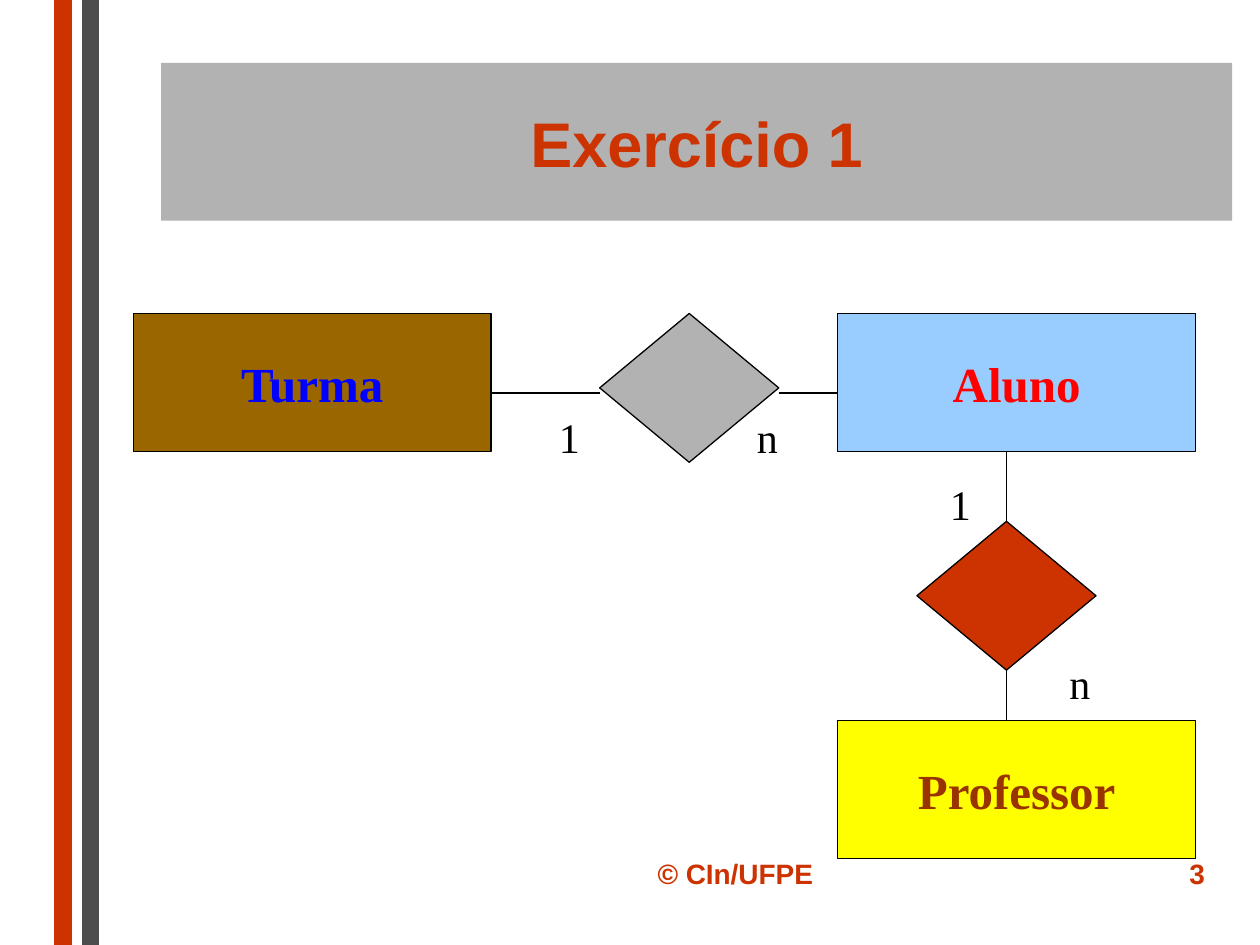
from lxml import etree
from pptx import Presentation
from pptx.dml.color import RGBColor
from pptx.enum.shapes import MSO_CONNECTOR, MSO_SHAPE
from pptx.enum.text import MSO_ANCHOR, PP_ALIGN
from pptx.oxml.ns import qn
from pptx.util import Cm, Pt

RECTANGLE = MSO_SHAPE.RECTANGLE
DECISION = MSO_SHAPE.FLOWCHART_DECISION
STRAIGHT = MSO_CONNECTOR.STRAIGHT
MIDDLE, TOP = MSO_ANCHOR.MIDDLE, MSO_ANCHOR.TOP
CENTER, RIGHT = PP_ALIGN.CENTER, PP_ALIGN.RIGHT

ORANGE = RGBColor(0xCC, 0x33, 0x00)
DARK_GRAY = RGBColor(0x4D, 0x4D, 0x4D)
GRAY = RGBColor(0xB2, 0xB2, 0xB2)
BLACK = RGBColor(0x00, 0x00, 0x00)
BROWN = RGBColor(0x99, 0x66, 0x00)
BLUE = RGBColor(0x00, 0x00, 0xFF)
LIGHT_BLUE = RGBColor(0x99, 0xCC, 0xFF)
RED = RGBColor(0xFF, 0x00, 0x00)
YELLOW = RGBColor(0xFF, 0xFF, 0x00)
RUST = RGBColor(0x99, 0x33, 0x00)

SANS = "Arial"
SERIF = "Times New Roman"
SLIDE_WIDTH, SLIDE_HEIGHT = 25.4, 19.05
ENTITY_WIDTH, ENTITY_HEIGHT = 7.21, 2.79
DIAMOND_WIDTH, DIAMOND_HEIGHT = 3.61, 3


def write_text(shape, text, font, size, color, bold=True, align=CENTER, anchor=MIDDLE, wrap=True):
    frame = shape.text_frame
    frame.word_wrap = wrap
    frame.vertical_anchor = anchor
    paragraph = frame.paragraphs[0]
    paragraph.alignment = align
    run = paragraph.add_run()
    run.text = text
    run.font.name = font
    run.font.size = Pt(size)
    run.font.bold = bold
    run.font.color.rgb = color
    return paragraph


def add_block(slide, kind, left, top, width, height, fill, outline=BLACK):
    shape = slide.shapes.add_shape(kind, Cm(left), Cm(top), Cm(width), Cm(height))
    shape.shadow.inherit = False
    shape.fill.solid()
    shape.fill.fore_color.rgb = fill
    if outline is None:
        shape.line.fill.background()
    else:
        shape.line.color.rgb = outline
        shape.line.width = Pt(0.75)
    return shape


def add_line(slide, start_x, start_y, end_x, end_y, color=BLACK, width=0.75):
    line = slide.shapes.add_connector(STRAIGHT, Cm(start_x), Cm(start_y), Cm(end_x), Cm(end_y))
    line.line.color.rgb = color
    line.line.width = Pt(width)
    etree.SubElement(line._element.spPr, qn("a:effectLst"))


def add_side_stripes(slide, left, top, height):
    for offset, color in ((0, ORANGE), (0.56, DARK_GRAY)):
        add_line(slide, left + offset, top, left + offset, top + height, color, 9.75)


def add_title(slide, left, top, width, height):
    banner = add_block(slide, RECTANGLE, left, top, width, height, GRAY, None)
    write_text(banner, "Exercício 1", SANS, 36, ORANGE)


def add_diagram(slide, left, top):
    right_column, bottom_row = 14.2, 8.2
    across_x, down_y = 9.4, 4.19
    link_y = 1.6
    link_x = right_column + 3.4

    for text, x, y, fill, color in (
        ("Turma", 0, 0, BROWN, BLUE),
        ("Aluno", right_column, 0, LIGHT_BLUE, RED),
        ("Professor", right_column, bottom_row, YELLOW, RUST),
    ):
        entity = add_block(slide, RECTANGLE, left + x, top + y, ENTITY_WIDTH, ENTITY_HEIGHT, fill)
        write_text(entity, text, SERIF, 28, color, wrap=False)

    for x, y, fill in (
        (across_x, 0, GRAY),
        (link_x - DIAMOND_WIDTH / 2, down_y, ORANGE),
    ):
        add_block(slide, DECISION, left + x, top + y, DIAMOND_WIDTH, DIAMOND_HEIGHT, fill)

    for start_x, end_x in ((ENTITY_WIDTH, across_x), (across_x + DIAMOND_WIDTH, right_column)):
        add_line(slide, left + start_x, top + link_y, left + end_x, top + link_y)
    for start_y, end_y in ((ENTITY_HEIGHT, down_y), (down_y + DIAMOND_HEIGHT, bottom_row)):
        add_line(slide, left + link_x, top + start_y, left + link_x, top + end_y)

    for text, x, y in (("1", 8.33, 1.85), ("n", 12.32, 1.85), ("1", 16.21, 3.2), ("n", 18.62, 6.81)):
        label = slide.shapes.add_textbox(Cm(left + x), Cm(top + y), Cm(0.91), Cm(1.27))
        write_text(label, text, SERIF, 24, BLACK, False, RIGHT, TOP, False)


def add_footer(slide, left, top, height):
    for text, x, width, align in (("© CIn/UFPE", 0, 8.05, CENTER), ("3", 8.46, 5.28, RIGHT)):
        box = slide.shapes.add_textbox(Cm(left + x), Cm(top), Cm(width), Cm(height))
        paragraph = write_text(box, text, SANS, 16, ORANGE, align=align, anchor=TOP)
        paragraph.space_before = Pt(10)


def main():
    presentation = Presentation()
    presentation.slide_width = Cm(SLIDE_WIDTH)
    presentation.slide_height = Cm(SLIDE_HEIGHT)
    slide = presentation.slides.add_slide(presentation.slide_layouts[6])
    add_side_stripes(slide, 1.27, 0, SLIDE_HEIGHT)
    add_title(slide, 3.25, 1.27, 21.59, 3.18)
    add_diagram(slide, 2.69, 6.32)
    add_footer(slide, 10.8, 17.15, 1.27)
    presentation.save("out.pptx")


if __name__ == "__main__":
    main()
